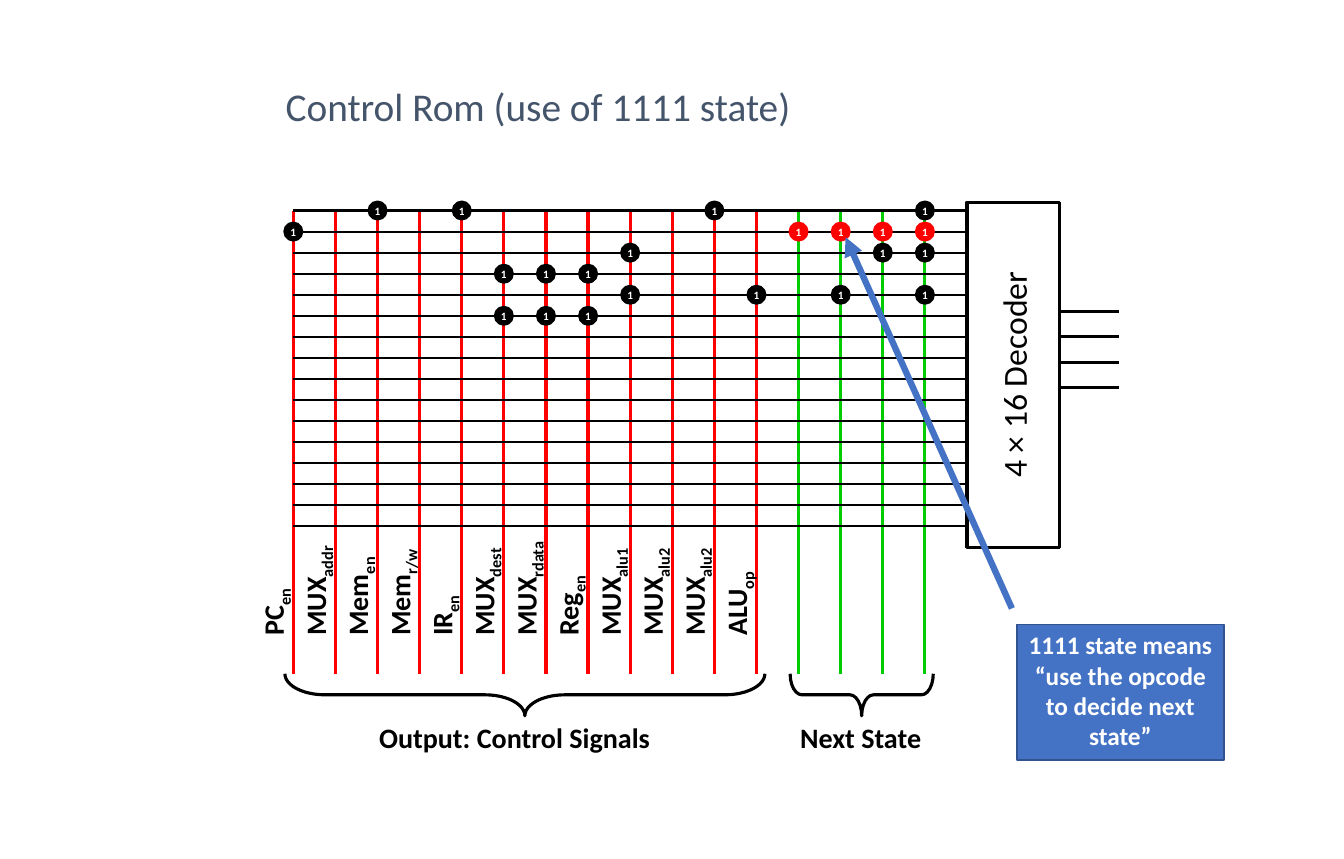
from lxml.etree import SubElement
from pptx import Presentation
from pptx.dml.color import RGBColor as Rgb
from pptx.enum.shapes import MSO_CONNECTOR as Conn, MSO_SHAPE as Kind
from pptx.enum.text import MSO_ANCHOR as Anchor, PP_ALIGN as Align
from pptx.oxml.ns import qn
from pptx.util import Pt

INK = {
    "black": "000000", "white": "FFFFFF", "red": "FF0000", "green": "00CC00",
    "title": "44546A", "blue": "4472C4", "edge": "31538F",
}
LEFT, TOP, RIGHT, BASE = 209, 150, 689, 480
STEP, PITCH = 30, 15
ROWS, COLS, OUTS = 16, 16, 12
MID = 495
SIGNALS = [
    ("PC", "en", 50), ("MUX", "addr", 84), ("Mem", "en", 73),
    ("Mem", "r/w", 79), ("IR", "en", 45), ("MUX", "dest", 80),
    ("MUX", "rdata", 88), ("Reg", "en", 61), ("MUX", "alu1", 81),
    ("MUX", "alu2", 81), ("MUX", "alu2", 81), ("ALU", "op", 70.5),
]
BITS = [
    (0, "black", (2, 4, 10, 15)),
    (1, "red", (12, 13, 14, 15)),
    (1, "black", (0,)),
    (2, "black", (8, 14, 15)),
    (3, "black", (5, 6, 7)),
    (4, "black", (8, 11, 13, 15)),
    (5, "black", (5, 6, 7)),
]


def color(name):
    return Rgb.from_string(INK[name])


def write(frame, text, sub="", size=20, ink="black", bold=True,
          align=Align.LEFT, anchor=Anchor.TOP, wrap=False, lead=None):
    frame.word_wrap = wrap
    frame.vertical_anchor = anchor
    para = frame.paragraphs[0]
    para.alignment = align
    para.line_spacing = lead
    for part, base in ((text, None), (sub, "-25000")):
        if not part:
            continue
        run = para.add_run()
        run.text = part
        font = run.font
        font.name, font.size, font.bold = "Calibri", Pt(size), bold
        font.color.rgb = color(ink)
        if base:
            run._r.get_or_add_rPr().set("baseline", base)


class Board:
    def __init__(self, slide):
        self.items = slide.shapes

    def line(self, x1, y1, x2, y2, ink="black", width=2.25, arrow=False):
        item = self.items.add_connector(
            Conn.STRAIGHT, Pt(x1), Pt(y1), Pt(x2), Pt(y2))
        item.line.color.rgb = color(ink)
        item.line.width = Pt(width)
        if arrow:
            SubElement(item.line._get_or_add_ln(), qn("a:tailEnd"), type="triangle")
        SubElement(item._element.spPr, qn("a:effectLst"))

    def shape(self, kind, x, y, w, h, fill=None, edge="black", width=2.25, turn=0):
        item = self.items.add_shape(kind, Pt(x), Pt(y), Pt(w), Pt(h))
        item.shadow.inherit = False
        item.rotation = turn
        if fill:
            item.fill.solid()
            item.fill.fore_color.rgb = color(fill)
        else:
            item.fill.background()
        item.line.color.rgb = color(edge)
        item.line.width = Pt(width)
        return item

    def label(self, x, y, w, h, text, turn=0, **style):
        item = self.items.add_textbox(Pt(x), Pt(y), Pt(w), Pt(h))
        item.rotation = turn
        write(item.text_frame, text, **style)

    def brace(self, first, last, bend):
        span = (last - first) * STEP + 12
        x = LEFT + (first + last) * STEP / 2
        item = self.shape(Kind.LEFT_BRACE, x - 15, MID - span / 2, 30, span, turn=270)
        item.adjustments[0] = bend

    def bit(self, row, col, ink):
        x, y = LEFT + col * STEP, TOP + row * PITCH
        item = self.shape(Kind.OVAL, x - 6, y - 6, 12, 12, fill=ink, edge=ink)
        write(item.text_frame, "1", size=8, ink="white",
              align=Align.CENTER, anchor=Anchor.MIDDLE)


def main():
    deck = Presentation()
    deck.slide_width, deck.slide_height = Pt(957.6), Pt(612)
    board = Board(deck.slides.add_slide(deck.slide_layouts[6]))

    board.label(196.5, 6, 600, 90, "Control Rom (use of 1111 state)", size=28,
                ink="title", bold=False, anchor=Anchor.BOTTOM, wrap=True, lead=0.9)
    box = board.shape(Kind.RECTANGLE, 599, 234, 246, 66, turn=270)
    write(box.text_frame, "4 × 16 Decoder", size=24, bold=False,
          align=Align.CENTER, anchor=Anchor.MIDDLE)

    for col in range(COLS):
        x = LEFT + col * STEP
        board.line(x, TOP, x, BASE, ink="red" if col < OUTS else "green")
    for row in range(ROWS):
        y = TOP + row * PITCH
        board.line(RIGHT, y, LEFT, y, width=1.5)
    for pin in range(4):
        y = 222 + pin * 18
        board.line(755, y, 797, y)

    board.brace(0, OUTS - 1, 0.95)
    board.label(263, 510, 209, 31.5, "Output: Control Signals")
    board.brace(OUTS, COLS - 1, 0.28)
    board.label(563, 510, 103, 31.5, "Next State")

    for col, (name, sub, size) in enumerate(SIGNALS):
        x, y = LEFT + col * STEP - 14.5, 460 - size / 2
        board.label(x - size / 2, y - 15.75, size, 31.5, name, sub=sub, turn=270)
    for row, ink, cols in BITS:
        for col in cols:
            board.bit(row, col, ink)

    note = board.shape(Kind.RECTANGLE, 724.5, 445, 147.5, 96.5,
                       fill="blue", edge="edge", width=1)
    write(note.text_frame, "1111 state means “use the opcode to decide next state”",
          size=18, ink="white", align=Align.CENTER, wrap=True)
    board.line(721, 433.5, 602.5, 169, ink="blue", width=4.5, arrow=True)
    deck.save("out.pptx")


if __name__ == "__main__":
    main()
